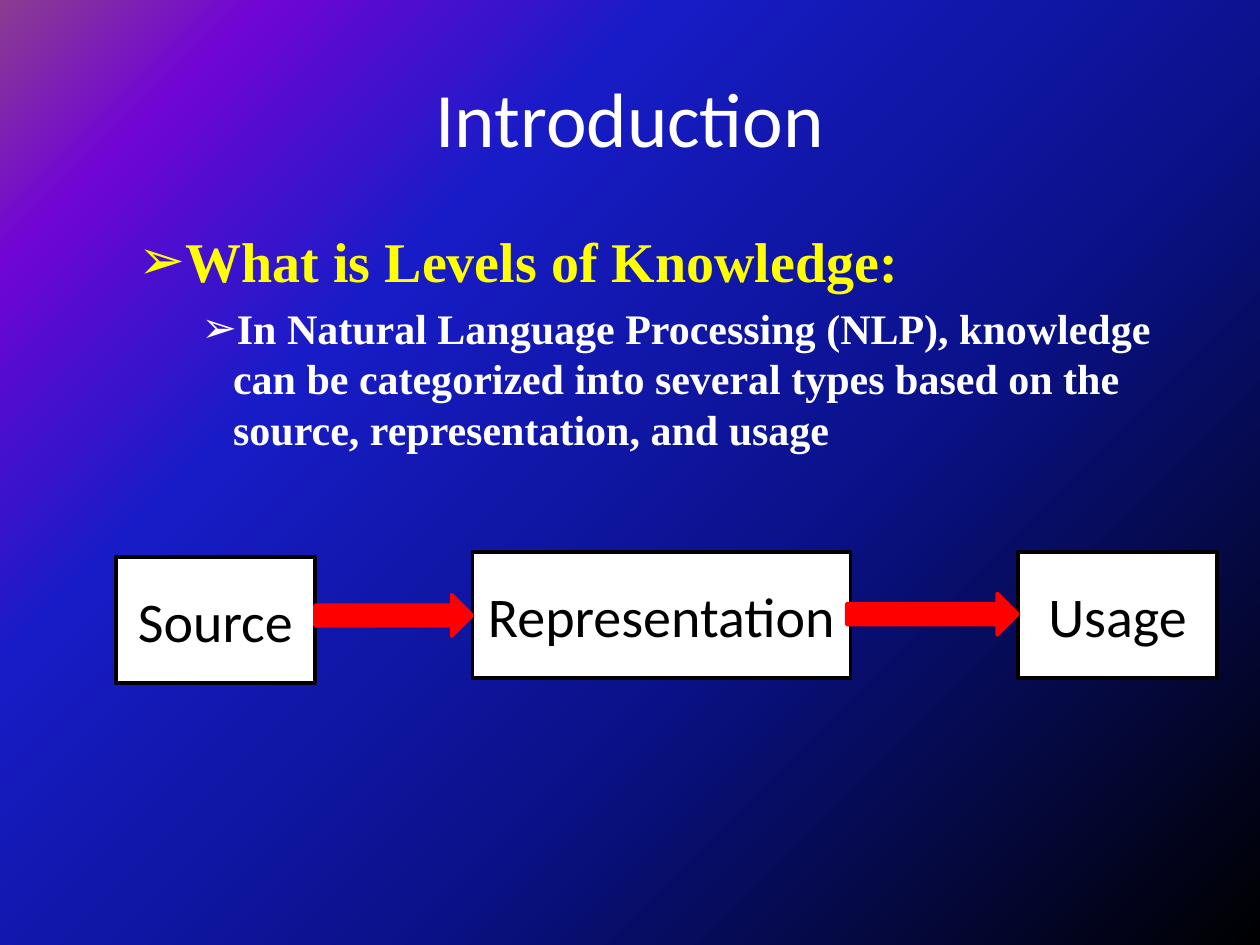
from lxml import etree
from pptx import Presentation
from pptx.dml.color import RGBColor
from pptx.enum.shapes import MSO_SHAPE
from pptx.enum.text import MSO_ANCHOR, PP_ALIGN
from pptx.oxml import parse_xml
from pptx.oxml.ns import nsdecls, qn
from pptx.util import Inches, Pt

RECTANGLE = MSO_SHAPE.RECTANGLE
RIGHT_ARROW = MSO_SHAPE.RIGHT_ARROW
MIDDLE = MSO_ANCHOR.MIDDLE
CENTER = PP_ALIGN.CENTER

GRADIENT_STOPS = [(0, "000000"), (40, "0A128C"), (70, "181CC7"), (88, "7005D4"), (100, "8C3D91")]
BULLETS = [
    ("What is Levels of Knowledge:", 1, 32, "FFFF00"),
    ("In Natural Language Processing (NLP), knowledge can be categorized into several types "
     "based on the source, representation, and usage", 2, 24, "FFFFFF"),
]
BOXES = [
    ("Source", 0.92, 4.42, 1.58),
    ("Representation", 3.75, 4.38, 3),
    ("Usage", 8.08, 4.38, 1.58),
]
ARROWS = [(2.5, 4.72, 1.25), (6.72, 4.71, 1.36)]


def color(value):
    """Turn a hex string into a colour."""
    return RGBColor.from_string(value)


def place(shape, left, top, width, height):
    """Move and size a shape, in inches."""
    shape.left, shape.top = Inches(left), Inches(top)
    shape.width, shape.height = Inches(width), Inches(height)


def format_runs(paragraph, font_name, size, font_color, bold=False):
    """Give every run of a paragraph the same font."""
    for run in paragraph.runs:
        run.font.name = font_name
        run.font.size = Pt(size)
        run.font.bold = bold
        run.font.color.rgb = color(font_color)


def set_background(slide):
    """Fill the background with a gradient that spreads from the lower right corner."""
    stops = "".join(
        f'<a:gs pos="{position * 1000}"><a:srgbClr val="{value}"/></a:gs>'
        for position, value in GRADIENT_STOPS
    )
    background = parse_xml(
        f'<p:bg {nsdecls("p", "a")}><p:bgPr><a:gradFill rotWithShape="1">'
        f'<a:gsLst>{stops}</a:gsLst><a:path path="circle">'
        '<a:fillToRect l="100000" t="100000"/></a:path>'
        '<a:tileRect r="-100000" b="-100000"/></a:gradFill><a:effectLst/></p:bgPr></p:bg>'
    )
    slide.element.cSld.insert(0, background)


def set_title(slide, text):
    """Write the slide title."""
    title = slide.shapes.title
    place(title, 0.5, 0.3, 9, 1.25)
    title.text_frame.text = text
    title.text_frame.vertical_anchor = MIDDLE
    paragraph = title.text_frame.paragraphs[0]
    paragraph.alignment = CENTER
    format_runs(paragraph, "Calibri", 44, "FFFFFF")


def set_bullets(slide):
    """Write the arrow-bulleted list in the body placeholder."""
    body = slide.placeholders[1]
    place(body, 0.5, 1.75, 9, 4.95)
    text_frame = body.text_frame
    text_frame.text = "\n".join(text for text, *_ in BULLETS)
    for paragraph, (_, level, size, font_color) in zip(text_frame.paragraphs, BULLETS):
        paragraph.level = level
        format_runs(paragraph, "Times New Roman", size, font_color, bold=True)
        properties = paragraph._p.get_or_add_pPr()
        etree.SubElement(properties, qn("a:buChar"), char="➢")


def add_block(slide, kind, left, top, width, height, fill, line):
    """Add a filled and outlined shape without shadow."""
    shape = slide.shapes.add_shape(kind, Inches(left), Inches(top), Inches(width), Inches(height))
    shape.shadow.inherit = False
    shape.fill.solid()
    shape.fill.fore_color.rgb = color(fill)
    shape.line.color.rgb = color(line)
    shape.line.width = Pt(2)
    return shape


def add_box(slide, text, left, top, width):
    """Add a labelled white box."""
    box = add_block(slide, RECTANGLE, left, top, width, 1, "FFFFFF", "000000")
    box.text_frame.text = text
    box.text_frame.vertical_anchor = MIDDLE
    paragraph = box.text_frame.paragraphs[0]
    paragraph.alignment = CENTER
    format_runs(paragraph, "Calibri", 32, "000000")


def main():
    """Build and save the slide."""
    presentation = Presentation()
    presentation.slide_width, presentation.slide_height = Inches(10), Inches(7.5)
    slide = presentation.slides.add_slide(presentation.slide_layouts[1])
    set_background(slide)
    set_title(slide, "Introduction")
    set_bullets(slide)
    for box in BOXES:
        add_box(slide, *box)
    for left, top, width in ARROWS:
        add_block(slide, RIGHT_ARROW, left, top, width, 0.33, "FF0000", "FF0000")
    presentation.save("out.pptx")


if __name__ == "__main__":
    main()
